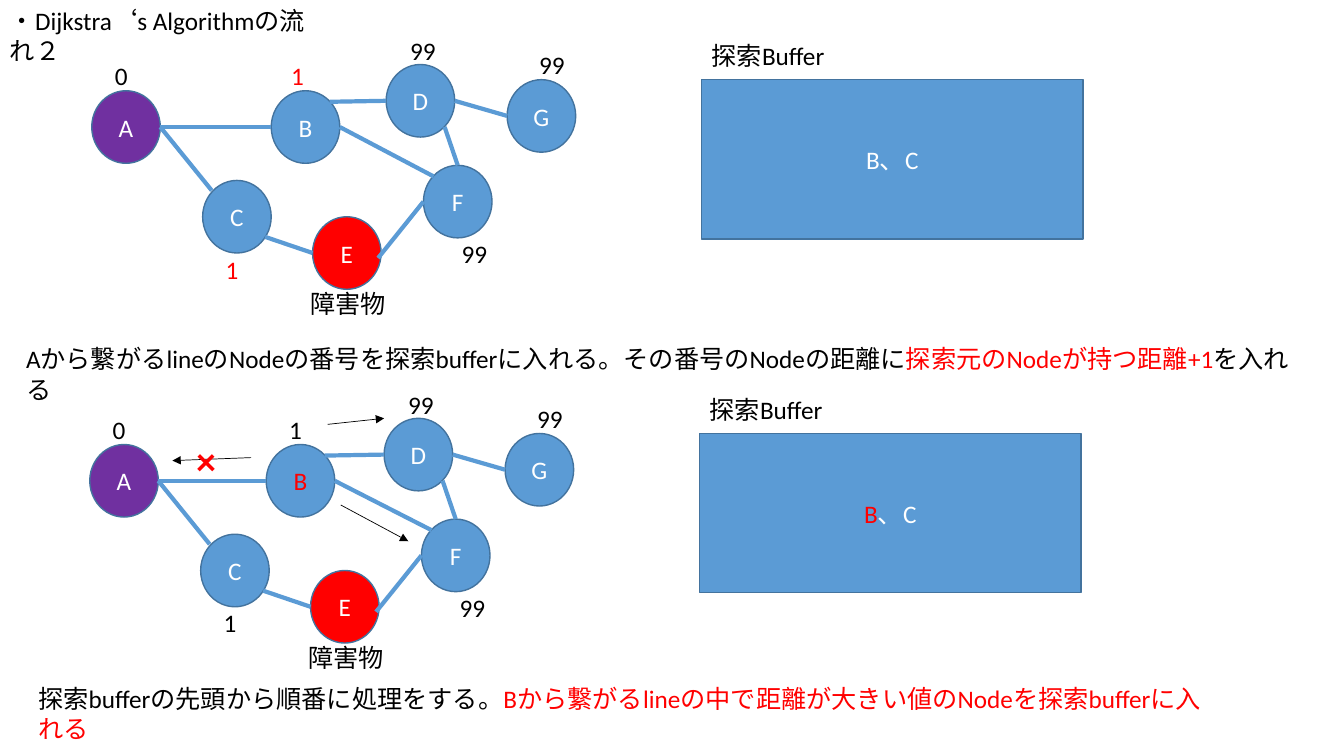
"""Build the slide on Dijkstra's algorithm, with two search steps."""
from lxml import etree
from pptx import Presentation
from pptx.dml.color import RGBColor
from pptx.enum.shapes import MSO_CONNECTOR, MSO_SHAPE
from pptx.enum.text import MSO_ANCHOR, MSO_AUTO_SIZE, PP_ALIGN
from pptx.oxml.ns import qn
from pptx.util import Inches, Pt

LINE = MSO_CONNECTOR.STRAIGHT
OVAL, RECT = MSO_SHAPE.OVAL, MSO_SHAPE.RECTANGLE
MIDDLE, CENTER = MSO_ANCHOR.MIDDLE, PP_ALIGN.CENTER
GROW = MSO_AUTO_SIZE.SHAPE_TO_FIT_TEXT

FONT = "Calibri"
COLORS = {"black": "000000", "white": "FFFFFF", "red": "FF0000",
          "blue": "5B9BD5", "edge": "43739E", "purple": "7030A0"}

NODES = {"A": (0.91, 0.9), "B": (2.69, 0.9), "C": (2.01, 1.79),
         "D": (3.83, 0.64), "E": (3.1, 2.15), "F": (4.2, 1.64),
         "G": (5.03, 0.79)}
SIZE = (0.68, 0.72)
FILLS = {"A": "purple", "E": "red"}
LINKS = [
    ("A", (1.59, 1.26), "B", (2.69, 1.26)),
    ("A", (1.59, 1.26), "C", (2.1, 1.89)),
    ("C", (2.63, 2.35), "E", (3.1, 2.51)),
    ("B", (3.37, 1.26), "F", (4.3, 1.75)),
    ("E", (3.75, 2.56), "F", (4.2, 2)),
    ("D", (4.41, 1.26), "F", (4.54, 1.64)),
    ("D", (4.51, 1), "G", (5.03, 1.15)),
    ("B", (3.27, 1.01), "D", (3.83, 1)),
]
BUFFER = (6.96, 0.79, 3.78, 1.58)
LABELS = [
    ("探索Buffer", 6.96, 0.35, 1.34), ("0", 1.04, 0.55, 0.33),
    ("1", 2.14, 2.47, 0.33), ("1", 2.79, 0.55, 0.33),
    ("障害物", 2.98, 2.81, 0.96), ("99", 4.48, 2.32, 0.46),
    ("99", 3.97, 0.3, 0.46), ("99", 5.25, 0.44, 0.46),
]
STEPS = [
    {"at": (0, 0), "shift": {}, "ink": {}, "one": "red",
     "queue": [("B、C", "white")]},
    {"at": (-0.02, 3.51), "shift": {"B": -0.03}, "ink": {"B": "red"},
     "one": "black", "queue": [("B", "red"), ("、C", "white")]},
]
NOTES = [
    ((0, 0, 3.25, 0.4), [("・Dijkstra‘s Algorithmの流れ２", "black")]),
    ((0.16, 3.36, 12.86, 0.4), [
        ("Aから繋がるlineのNodeの番号を探索bufferに入れる。"
         "その番号のNodeの距離に", "black"),
        ("探索元のNodeが持つ距離+1", "red"), ("を入れる", "black")]),
    ((0.28, 6.73, 11.88, 0.4), [
        ("探索bufferの先頭から順番に処理をする。", "black"),
        ("Bから繋がるlineの中で距離が大きい値のNodeを探索bufferに入れる",
         "red")]),
]
ARROWS = [((3.25, 4.21), (3.81, 4.15)), ((3.38, 5.01), (4.05, 5.37)),
          ((2.49, 4.54), (1.71, 4.57))]
CROSS = (1.85, 4.28, 0.6, 0.57)


def paint(name):
    return RGBColor.from_string(COLORS[name])


def write(frame, runs, size=18, bold=False):
    para = frame.paragraphs[0]
    para.font.name, para.font.size = FONT, Pt(size)
    para.font.bold = bold
    for words, color in runs:
        run = para.add_run()
        run.text = words
        run.font.color.rgb = paint(color)
    return para


def add_text(slide, box, runs, size=18, bold=False):
    frame = slide.shapes.add_textbox(*map(Inches, box)).text_frame
    frame.word_wrap, frame.auto_size = True, GROW
    write(frame, runs, size, bold)


def add_block(slide, kind, box, fill, runs):
    block = slide.shapes.add_shape(kind, *map(Inches, box))
    block.shadow.inherit = False
    block.fill.solid()
    block.fill.fore_color.rgb = paint(fill)
    block.line.color.rgb, block.line.width = paint("edge"), Pt(1)
    block.text_frame.vertical_anchor = MIDDLE
    write(block.text_frame, runs).alignment = CENTER


def add_line(slide, start, end, color, width, arrow=False):
    line = slide.shapes.add_connector(LINE, *map(Inches, (*start, *end)))
    line.line.color.rgb, line.line.width = paint(color), Pt(width)
    props = line._element.spPr
    if arrow:
        tail = etree.SubElement(props.find(qn("a:ln")), qn("a:tailEnd"))
        tail.set("type", "triangle")
    etree.SubElement(props, qn("a:effectLst"))


def add_step(slide, step):
    left, top = step["at"]

    def place(x, y, node=""):
        return left + x + step["shift"].get(node, 0), top + y

    for name, spot in NODES.items():
        ink = step["ink"].get(name, "white")
        add_block(slide, OVAL, (*place(*spot, name), *SIZE),
                  FILLS.get(name, "blue"), [(name, ink)])
    for first, start, last, end in LINKS:
        add_line(slide, place(*start, first), place(*end, last), "blue", 3)
    x, y, width, height = BUFFER
    add_block(slide, RECT, (*place(x, y), width, height), "blue", step["queue"])
    for words, x, y, width in LABELS:
        color = step["one"] if words == "1" else "black"
        add_text(slide, (*place(x, y), width, 0.4), [(words, color)])


def main():
    deck = Presentation()
    deck.slide_width, deck.slide_height = Inches(13.33), Inches(7.5)
    slide = deck.slides.add_slide(deck.slide_layouts[6])
    for step in STEPS:
        add_step(slide, step)
    for box, runs in NOTES:
        add_text(slide, box, runs)
    for start, end in ARROWS:
        add_line(slide, start, end, "black", 0.5, True)
    add_text(slide, CROSS, [("×", "red")], 28, True)
    deck.save("out.pptx")


if __name__ == "__main__":
    main()
